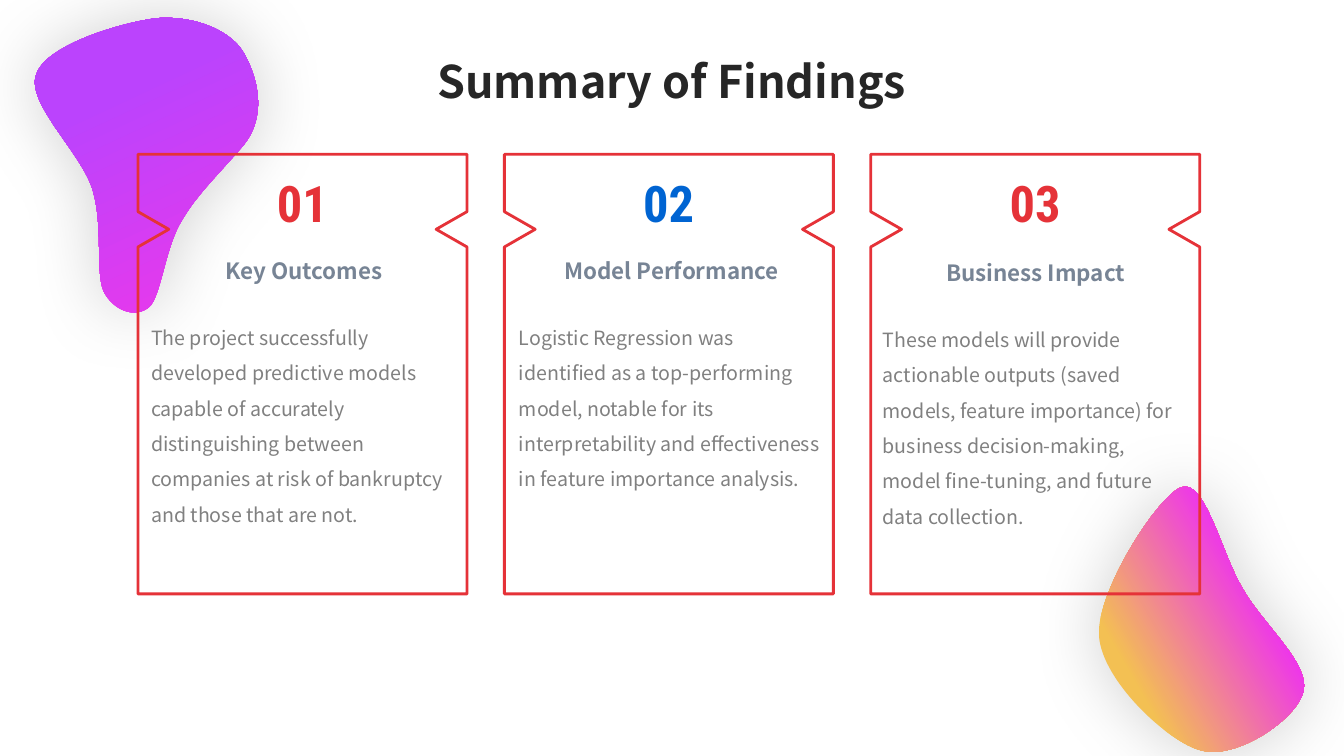
from dataclasses import dataclass

from lxml import etree
from pptx import Presentation
from pptx.dml.color import RGBColor
from pptx.enum import text
from pptx.oxml.ns import qn
from pptx.util import Pt


@dataclass(frozen=True)
class Theme:
    sans: str = "Noto Sans CJK SC"
    condensed: str = "Roboto Condensed"
    title: str = "262626"
    red: str = "E53238"
    blue: str = "0064D2"
    heading: str = "778495"
    body: str = "808080"
    pink: str = "EE37E9"
    purple: str = "BB43FD"
    yellow: str = "F3C053"
    indigo: str = "584CE0"
    title_size: int = 32
    number_size: int = 36
    heading_size: int = 16
    body_size: int = 14


T = Theme()

# Card grid, in points
CARD_LEFT, CARD_TOP, CARD_STEP = 98.6, 110.2, 261.7
CARD_W, CARD_H = 235, 314
NOTCH_TOP, NOTCH_H, NOTCH_DEPTH = 41, 25.2, 22

# Number colour, text left, text top, heading, body
CARDS = [
    (T.red, 100.8, 180, "Key Outcomes",
     "The project successfully developed predictive models capable of accurately "
     "distinguishing between companies at risk of bankruptcy and those that are not."),
    (T.blue, 363.6, 180, "Model Performance",
     "Logistic Regression was identified as a top-performing model, notable for its "
     "interpretability and effectiveness in feature importance analysis."),
    (T.red, 623.5, 181.4, "Business Impact",
     "These models will provide actionable outputs (saved models, feature importance) "
     "for business decision-making, model fine-tuning, and future data collection."),
]

# Blob outlines: a start point, then three points per Bezier segment
LOWER_BLOB = [
    (888, 421), (902, 446), (936, 474), (931, 494), (926, 514), (883, 543),
    (858, 536), (834, 530), (787, 486), (785, 454), (783, 423), (827, 354),
    (844, 348), (861, 342), (873, 397), (888, 421)]
UPPER_BLOB = [
    (74, 208), (68, 194), (74, 161), (66, 135), (58, 109), (18, 73),
    (26, 53), (33, 32), (87, 16), (112, 13), (138, 11), (163, 21),
    (173, 36), (183, 52), (193, 83), (172, 106), (151, 130), (140, 140),
    (129, 159), (118, 178), (115, 211), (107, 219), (97, 228), (81, 222), (74, 208)]


def add_outline(slide, points):
    """Closed outline through points given in points (pt)."""
    builder = slide.shapes.build_freeform(*map(Pt, points[0]), scale=1.0)
    builder.add_line_segments([(Pt(x), Pt(y)) for x, y in points[1:]], close=True)
    sp = builder.convert_to_shape()
    sp.shadow.inherit = False
    return sp


def add_colour(parent, rgb, alpha=None):
    clr = etree.SubElement(parent, qn("a:srgbClr"), val=rgb)
    if alpha is not None:
        etree.SubElement(clr, qn("a:alpha"), val=str(alpha * 1000))


def add_blob(slide, points, stops, angle):
    sp = add_outline(slide, points)
    sp.line.fill.background()
    spPr = sp.element.spPr

    # Turn each three straight segments into one Bezier curve
    segments = list(spPr.iter(qn("a:lnTo")))
    for i in range(0, len(segments), 3):
        curve = etree.Element(qn("a:cubicBezTo"))
        segments[i].addprevious(curve)
        for segment in segments[i:i + 3]:
            curve.append(segment[0])
            segment.getparent().remove(segment)

    # Gradient and soft glow-like shadow
    sp.fill.gradient()
    sp.fill.gradient_angle = angle
    stop_list = spPr.find(".//" + qn("a:gsLst"))
    for stop in list(stop_list):
        stop_list.remove(stop)
    for pos, rgb in stops:
        add_colour(etree.SubElement(stop_list, qn("a:gs"), pos=str(pos * 1000)), rgb)
    shadow = etree.SubElement(spPr.find(qn("a:effectLst")), qn("a:outerShdw"),
                              blurRad=str(Pt(51)), dist="0", dir="0",
                              algn="ctr", rotWithShape="0")
    add_colour(shadow, "000000", 18)


def set_text(sp, words, font, size, rgb, bold=True, centred=True, wrap=True,
             anchor=text.MSO_ANCHOR.TOP, spacing=None):
    tf = sp.text_frame
    tf.word_wrap = wrap
    tf.auto_size = text.MSO_AUTO_SIZE.SHAPE_TO_FIT_TEXT
    tf.vertical_anchor = anchor
    p = tf.paragraphs[0]
    p.text = words
    p.alignment = text.PP_ALIGN.CENTER if centred else text.PP_ALIGN.LEFT
    p.line_spacing = spacing
    p.font.name, p.font.size, p.font.bold = font, Pt(size), bold
    p.font.color.rgb = RGBColor.from_string(rgb)


def add_text(slide, box, *args, **kwargs):
    set_text(slide.shapes.add_textbox(*map(Pt, box)), *args, **kwargs)


def add_title(slide, words):
    sp = slide.shapes.title
    sp.left, sp.top, sp.width, sp.height = map(Pt, (228.2, 34.6, 503.3, 46))
    set_text(sp, words, T.sans, T.title_size, T.title)


def add_card(slide, index, number_colour, text_left, text_top, heading, body):
    left, right = CARD_LEFT + index * CARD_STEP, CARD_LEFT + index * CARD_STEP + CARD_W
    bottom = CARD_TOP + CARD_H
    notch = [CARD_TOP + NOTCH_TOP + NOTCH_H * k / 2 for k in range(3)]

    # Notched frame
    sp = add_outline(slide, [
        (left, CARD_TOP), (right, CARD_TOP),
        (right, notch[0]), (right - NOTCH_DEPTH, notch[1]), (right, notch[2]),
        (right, bottom), (left, bottom),
        (left, notch[2]), (left + NOTCH_DEPTH, notch[1]), (left, notch[0])])
    sp.fill.background()
    sp.line.color.rgb = RGBColor.from_string(T.red)
    sp.line.width = Pt(2)

    # Number, heading and body
    add_text(slide, (left + 90, 118.8, 54.7, 51), f"{index + 1:02}", T.condensed,
             T.number_size, number_colour, wrap=False, anchor=text.MSO_ANCHOR.MIDDLE)
    add_text(slide, (text_left + 2.5, text_top, 227.5, 26.6), heading, T.sans,
             T.heading_size, T.heading)
    add_text(slide, (text_left, text_top + 41, 229, 131.8), body, T.sans,
             T.body_size, T.body, bold=False, centred=False, spacing=1.5)


def main():
    prs = Presentation()
    prs.slide_width, prs.slide_height = Pt(960), Pt(540)
    slide = prs.slides.add_slide(prs.slide_layouts[5])
    add_blob(slide, LOWER_BLOB, [(22, T.yellow), (68, T.pink), (92, T.indigo)], 30)
    add_blob(slide, UPPER_BLOB, [(0, T.pink), (71, T.purple)], 115)
    add_title(slide, "Summary of Findings")
    for index, card in enumerate(CARDS):
        add_card(slide, index, *card)
    prs.save("out.pptx")


if __name__ == "__main__":
    main()
